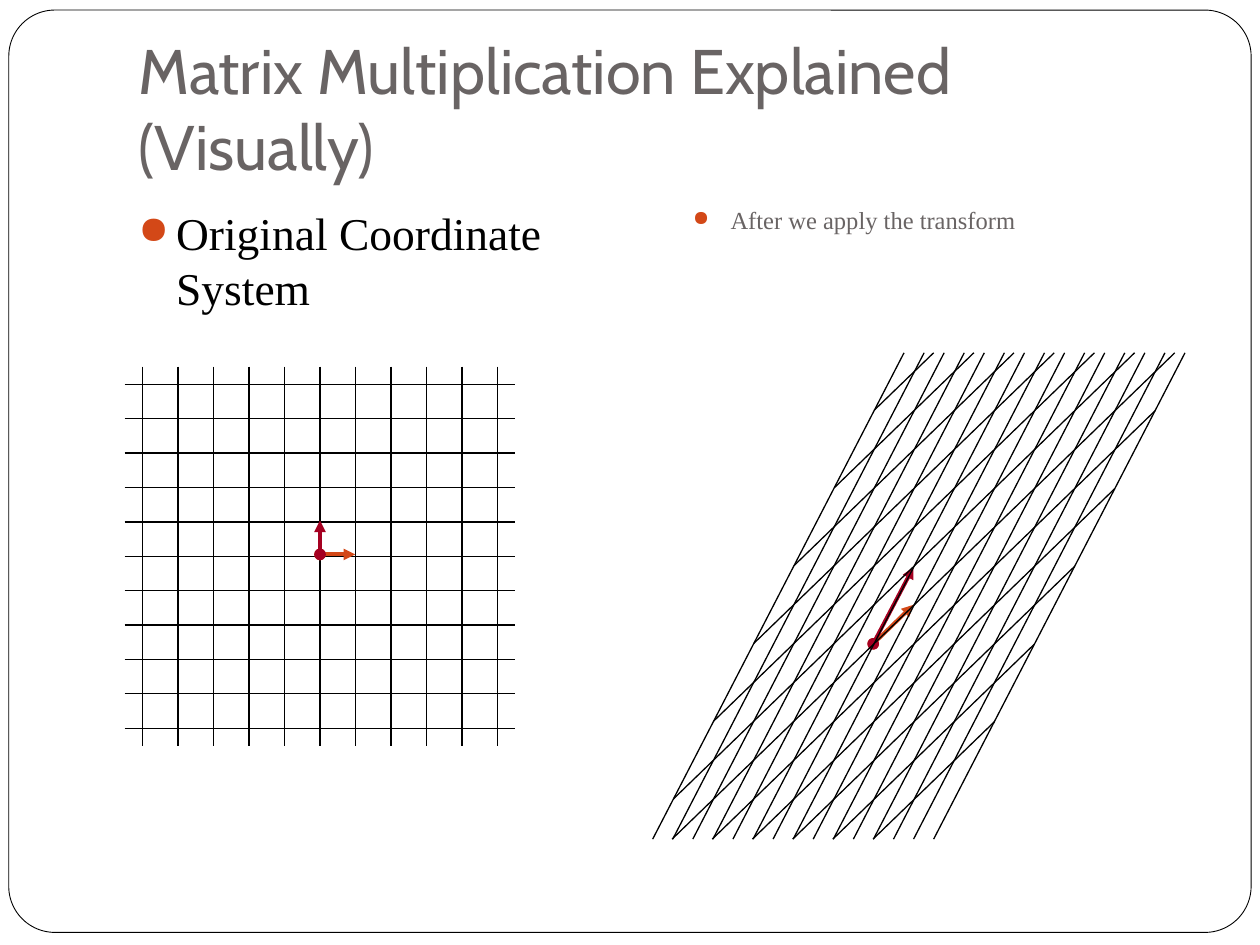
"""Build a slide showing a coordinate grid before and after a matrix transform."""
from lxml import etree
from pptx import Presentation, util as u
from pptx.dml.color import RGBColor
from pptx.enum import shapes, text
from pptx.oxml import ns

prs = Presentation()
prs.slide_width, prs.slide_height = u.Inches(10), u.Inches(7.5)
COL, ROW = prs.slide_width / 100, prs.slide_height / 75
s = prs.slides.add_slide(prs.slide_layouts[6])
rgb = RGBColor.from_string


def sub(parent, tag, **attrs):
    return etree.SubElement(parent, ns.qn("a:" + tag), attrs)


def line(x1, y1, x2, y2, color="000000", width=0.75, arrow=False):
    c = s.shapes.add_connector(shapes.MSO_CONNECTOR.STRAIGHT, round(x1 * COL), round(y1 * ROW),
                               round(x2 * COL), round(y2 * ROW))
    c.line.color.rgb, c.line.width = rgb(color), u.Pt(width)
    if arrow:
        ln = c.line._get_or_add_ln()
        sub(ln, "headEnd", type="oval")
        sub(ln, "tailEnd", type="triangle")
    sub(c._element.spPr, "effectLst")


frame = s.shapes.add_shape(shapes.MSO_SHAPE.ROUNDED_RECTANGLE, round(0.7 * COL), round(0.8 * ROW),
                           round(98.6 * COL), round(73.2 * ROW))
frame.shadow.inherit = False
frame.adjustments[0] = 0.05
frame.fill.solid()
frame.fill.fore_color.rgb = rgb("FFFFFF")
frame.line.color.rgb, frame.line.width = rgb("000000"), u.Pt(0.5)

serif, top, bottom = "Times New Roman", text.MSO_ANCHOR.TOP, text.MSO_ANCHOR.BOTTOM
blocks = [
    ("Original Coordinate System", (10, 15.8, 41, 10), 26, serif, "000000", top, True),
    ("After we apply the transform", (54, 15.8, 41, 5), 14, serif, "696464", top, True),
    ("Matrix Multiplication Explained (Visually)", (10, 3, 85, 12.5), 36, "Cabin", "696464", bottom, False),
]
for words, (x, y, w, h), size, font, color, anchor, bullet in blocks:
    sp = s.shapes.add_textbox(round(x * COL), round(y * ROW), round(w * COL), round(h * ROW))
    tf = sp.text_frame
    margin = u.Inches(0.05 if bullet else 0.1)
    for name, value in dict(word_wrap=True, vertical_anchor=anchor, margin_bottom=margin).items():
        setattr(tf, name, value)
    p = tf.paragraphs[0]
    r = p.add_run()
    r.text = words
    for name, value in dict(size=u.Pt(size), name=font).items():
        setattr(r.font, name, value)
    r.font.color.rgb = rgb(color)
    if bullet:
        p.space_before = u.Pt(5.8)
        pPr = p._p.get_or_add_pPr()
        pPr.set("marL", str(u.Inches(0.3)))
        pPr.set("indent", str(-u.Inches(0.3)))
        sub(sub(pPr, "buClr"), "srgbClr", val="D34817")
        sub(pPr, "buSzPct", val="85000")
        sub(pPr, "buChar", char="●")

for i in range(11):
    x, y = 11.3 + 2.82 * i, 30.5 + 2.73 * i
    line(x, 29.1, x, 59.2)
    line(9.9, y, 40.9, y)

for x1, y1, x2, y2, color in [
    (25.4, 44, 28.2, 44, "D34817"),
    (25.4, 44, 25.4, 41.3, "A50021"),
    (69.3, 51.1, 72.5, 48, "D34817"),
    (69.3, 51.1, 72.5, 45, "A50021"),
]:
    line(x1, y1, x2, y2, color, 2.25, True)

left, right, base, rise, steep, shallow = 51.8, 74.1, 66.6, 38.6, 19.95, 39.9
for i in range(15):
    x = left + (right - left) * i / 14
    line(x, base, x + steep, base - rise)
for i in range(12):
    x = 34.2 + 3.19 * i
    start = max(0, (left - x) / (shallow - steep))
    end = min(1, (right - x) / (shallow - steep))
    line(x + shallow * start, base - rise * start, x + shallow * end, base - rise * end)

prs.save("out.pptx")
